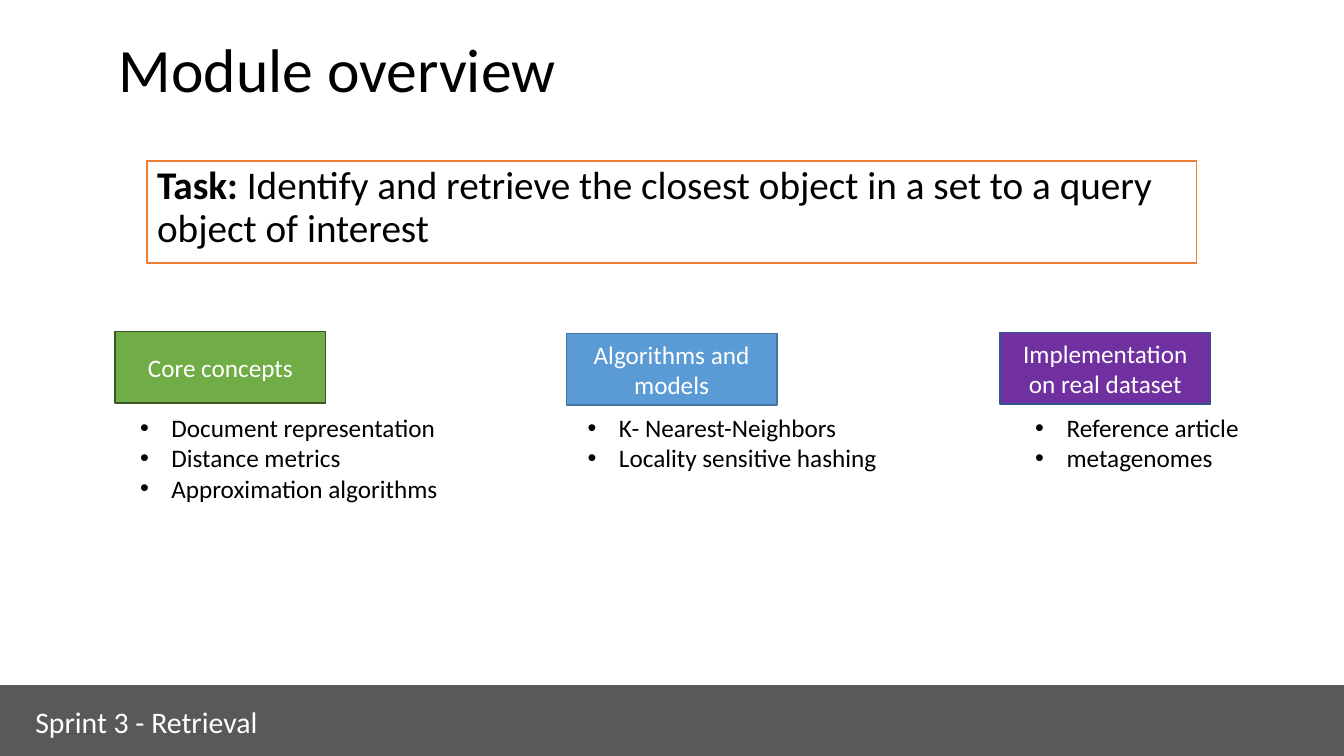
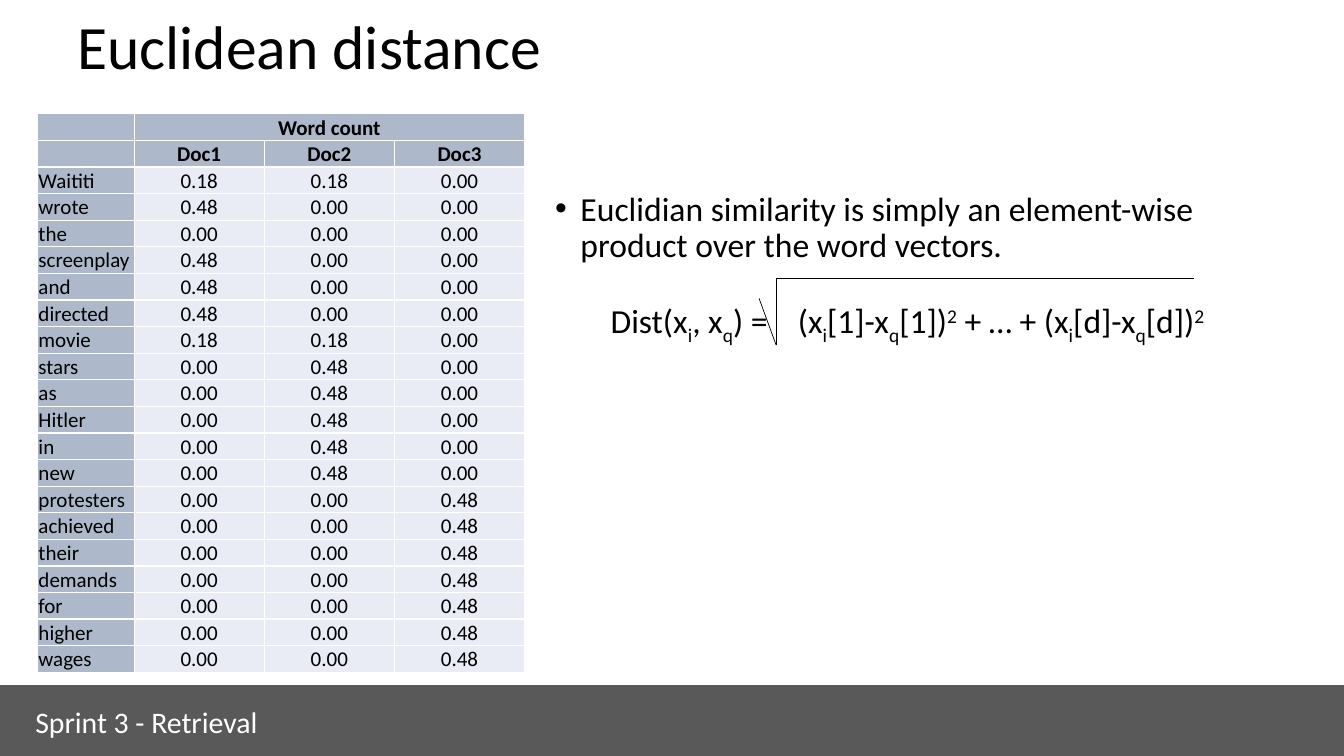
from dataclasses import dataclass

from lxml.etree import SubElement
from pptx import Presentation
from pptx.dml.color import RGBColor
from pptx.enum.shapes import MSO_CONNECTOR as Link, MSO_SHAPE as Form
from pptx.enum.text import MSO_ANCHOR as Anchor, PP_ALIGN as Align
from pptx.oxml import parse_xml
from pptx.oxml.ns import nsdecls, qn
from pptx.slide import Slide
from pptx.util import Cm, Pt

FONT = "Calibri"
BLACK = RGBColor(0x00, 0x00, 0x00)
WHITE = RGBColor(0xFF, 0xFF, 0xFF)
GRAY = RGBColor(0x59, 0x59, 0x59)
ORANGE = RGBColor(0xED, 0x7D, 0x31)
GREEN = RGBColor(0x70, 0xAD, 0x47)
MOSS = RGBColor(0x38, 0x57, 0x23)
BLUE = RGBColor(0x5B, 0x9B, 0xD5)
STEEL = RGBColor(0x43, 0x73, 0x9E)
PURPLE = RGBColor(0x70, 0x30, 0xA0)
NAVY = RGBColor(0x32, 0x54, 0x91)
SLATE = RGBColor(0xAD, 0xB9, 0xCA)
PALE = RGBColor(0xE9, 0xEB, 0xF5)

WIDE, HIGH = 33.87, 19.05
BAND = 1.78
LIST_X, LIST_STEP = 3.28, 11.28


@dataclass
class Area:
    """A place on the slide, in centimetres."""
    x: float
    y: float
    w: float
    h: float

    def emu(self) -> tuple[Cm, Cm, Cm, Cm]:
        """Return the place as lengths."""
        return Cm(self.x), Cm(self.y), Cm(self.w), Cm(self.h)


@dataclass
class Topic:
    """A coloured heading with the points below it."""
    x: float
    y: float
    name: str
    fill: RGBColor
    edge: RGBColor
    points: list[str]


@dataclass
class Piece:
    """A stretch of text with its own look."""
    text: str
    bold: bool = False
    shift: int = 0


TOPICS = [
    Topic(2.9, 8.36, "Core concepts", GREEN, MOSS,
          ["Document representation", "Distance metrics",
           "Approximation algorithms"]),
    Topic(14.27, 8.41, "Algorithms and models", BLUE, STEEL,
          ["K- Nearest-Neighbors", "Locality sensitive hashing"]),
    Topic(25.2, 8.38, "Implementation on real dataset", PURPLE, NAVY,
          ["Reference article", "metagenomes"]),
]

TASK = [
    Piece("Task: ", bold=True),
    Piece("Identify and retrieve the closest object in a set "
          "to a query object of interest"),
]

SUB, SUP = -25000, 30000
I, Q, POW = Piece("i", shift=SUB), Piece("q", shift=SUB), Piece("2", shift=SUP)
DIST = [
    Piece("Dist(x"), I, Piece(", x"), Q, Piece(") =\t(x"), I,
    Piece("[1]-x"), Q, Piece("[1])"), POW, Piece(" + … + (x"), I,
    Piece("[d]-x"), Q, Piece("[d])"), POW,
]

COUNTS = [
    ("Waititi", "0.18 0.18 0.00"),
    ("wrote", "0.48 0.00 0.00"),
    ("the", "0.00 0.00 0.00"),
    ("screenplay and directed", "0.48 0.00 0.00"),
    ("movie", "0.18 0.18 0.00"),
    ("stars as Hitler in new", "0.00 0.48 0.00"),
    ("protesters achieved their demands for higher wages",
     "0.00 0.00 0.48"),
]
HEADS = [["", "Word count", "", ""], ["", "Doc1", "Doc2", "Doc3"]]

ROOT = [(19.13, 7.52), (19.56, 8.7), (19.56, 7.02), (30.1, 7.02)]


def style(para, size: float, color: RGBColor = BLACK,
          bold: bool = False) -> None:
    """Format every run of a paragraph."""
    for run in para.runs:
        font = run.font
        font.name, font.size, font.bold = FONT, Pt(size), bold
        font.color.rgb = color


def mix(para, pieces: list[Piece], size: float) -> None:
    """Fill a paragraph with runs of different looks."""
    for piece in pieces:
        para.add_run().text = piece.text
    style(para, size)
    for run, piece in zip(para.runs, pieces):
        run.font.bold = piece.bold
        if piece.shift:
            run.font._element.set("baseline", str(piece.shift))


def dot(para, hang: float) -> None:
    """Give a paragraph a round bullet with a hanging indent."""
    props = para._p.get_or_add_pPr()
    props.set("marL", str(Cm(hang)))
    props.set("indent", str(-Cm(hang)))
    SubElement(props, qn("a:buFont")).set("typeface", "Arial")
    SubElement(props, qn("a:buChar")).set("char", "•")


def frame(slide: Slide, area: Area):
    """Add a wrapping text box and return it."""
    box = slide.shapes.add_textbox(*area.emu())
    box.text_frame.word_wrap = True
    return box


def block(slide: Slide, area: Area, fill: RGBColor, edge: RGBColor):
    """Add a filled rectangle with a thin edge."""
    shape = slide.shapes.add_shape(Form.RECTANGLE, *area.emu())
    shape.shadow.inherit = False
    shape.fill.solid()
    shape.fill.fore_color.rgb = fill
    shape.line.color.rgb = edge
    shape.line.width = Pt(1)
    return shape


def base(deck, title: str, area: Area) -> Slide:
    """Add a slide with its title and footer band."""
    slide = deck.slides.add_slide(deck.slide_layouts[6])
    text = frame(slide, area).text_frame
    text.vertical_anchor = Anchor.MIDDLE
    text.text = title
    para = text.paragraphs[0]
    para.line_spacing = 0.9
    style(para, 44)

    block(slide, Area(0, HIGH - BAND, WIDE, BAND), GRAY, GRAY)
    label = frame(slide, Area(0.64, 17.6, 8.53, 1.17)).text_frame
    label.text = "Sprint 3 - Retrieval"
    style(label.paragraphs[0], 21.3, WHITE)
    return slide


def topic(slide: Slide, item: Topic, left: float) -> None:
    """Draw a heading block and its bullet list."""
    head = block(slide, Area(item.x, item.y, 5.31, 1.8), item.fill, item.edge)
    text = head.text_frame
    text.word_wrap = True
    text.vertical_anchor = Anchor.MIDDLE
    text.text = item.name
    para = text.paragraphs[0]
    para.alignment = Align.CENTER
    style(para, 18, WHITE)

    high = 0.28 + 0.76 * len(item.points)
    body = frame(slide, Area(left, 10.27, 8.05, high)).text_frame
    body.text = "\n".join(item.points)
    for para in body.paragraphs:
        dot(para, 0.79)
        style(para, 18)


def cell_look(cell, value: str, fill: RGBColor, bold: bool,
              align: Align) -> None:
    """Fill one table cell and rule it in white."""
    cell.margin_left = cell.margin_right = cell.margin_top = Cm(0.03)
    cell.margin_bottom = 0
    cell.vertical_anchor = Anchor.BOTTOM
    cell.text = value
    para = cell.text_frame.paragraphs[0]
    para.alignment = align
    style(para, 15, BLACK, bold)
    if not value:
        SubElement(para._p, qn("a:endParaRPr")).set("sz", "1500")
    cell.fill.solid()
    cell.fill.fore_color.rgb = fill
    props = cell._tc.get_or_add_tcPr()
    for spot, side in enumerate("LRTB"):
        props.insert(spot, parse_xml(
            f'<a:ln{side} {nsdecls("a")} w="{Pt(1)}"><a:solidFill>'
            f'<a:srgbClr val="{WHITE}"/></a:solidFill></a:ln{side}>'))


def grid(slide: Slide) -> None:
    """Draw the table of word counts."""
    rows = HEADS + [[word, *marks.split()]
                    for words, marks in COUNTS for word in words.split()]
    area = Area(0.94, 2.87, 12.28, 0.67 * len(rows))
    table = slide.shapes.add_table(len(rows), 4, *area.emu()).table
    table.first_row = table.horz_banding = False
    for col, wide in zip(table.columns, [2.44] + [3.28] * 3):
        col.width = Cm(wide)
    for r, row in enumerate(rows):
        table.rows[r].height = Cm(0.67)
        top = r < len(HEADS)
        for c, value in enumerate(row):
            cell_look(table.cell(r, c), value,
                      SLATE if top or c == 0 else PALE, top,
                      Align.CENTER if c else Align.LEFT)
    table.cell(0, 1).merge(table.cell(0, 3))


def stroke(slide: Slide, start: tuple[float, float],
           end: tuple[float, float]) -> None:
    """Draw a thin black line."""
    line = slide.shapes.add_connector(
        Link.STRAIGHT, *(Cm(v) for v in start + end))
    line.line.color.rgb = BLACK
    line.line.width = Pt(0.5)
    SubElement(line._element.spPr, qn("a:effectLst"))


def module(deck) -> None:
    """Build the overview slide."""
    slide = base(deck, "Module overview", Area(2.74, 0, 29.21, 3.68))
    box = block(slide, Area(3.71, 4.06, 26.44, 2.57), WHITE, ORANGE)
    box.text_frame.word_wrap = True
    box.text_frame.vertical_anchor = Anchor.TOP
    para = box.text_frame.paragraphs[0]
    para.alignment = Align.LEFT
    para.line_spacing, para.space_before = 0.9, Pt(10)
    mix(para, TASK, 28)
    for n, item in enumerate(TOPICS):
        topic(slide, item, LIST_X + n * LIST_STEP)


def euclid(deck) -> None:
    """Build the distance slide."""
    slide = base(deck, "Euclidean distance", Area(1.7, -0.33, 30.48, 3.18))
    grid(slide)
    body = frame(slide, Area(13.74, 4.72, 19.2, 2.92)).text_frame
    body.text = ("Euclidian similarity is simply an element-wise "
                 "product over the word vectors.")
    para = body.paragraphs[0]
    para.line_spacing, para.space_before = 0.9, Pt(10)
    dot(para, 0.64)
    style(para, 24)

    text = frame(slide, Area(15.06, 7.39, 17.58, 5.33)).text_frame
    text.margin_left = text.margin_right = Cm(0.33)
    text.margin_top = text.margin_bottom = Cm(0.18)
    para = text.paragraphs[0]
    para.space_before = Pt(4.8)
    tabs = SubElement(para._p.get_or_add_pPr(), qn("a:tabLst"))
    tab = SubElement(tabs, qn("a:tab"))
    tab.set("pos", str(Cm(4.72)))
    tab.set("algn", "l")
    mix(para, DIST, 24)
    for start, end in zip(ROOT, ROOT[1:]):
        stroke(slide, start, end)


def main() -> None:
    """Build and save the deck."""
    deck = Presentation()
    deck.slide_width, deck.slide_height = Cm(WIDE), Cm(HIGH)
    module(deck)
    euclid(deck)
    deck.save("out.pptx")


main()
